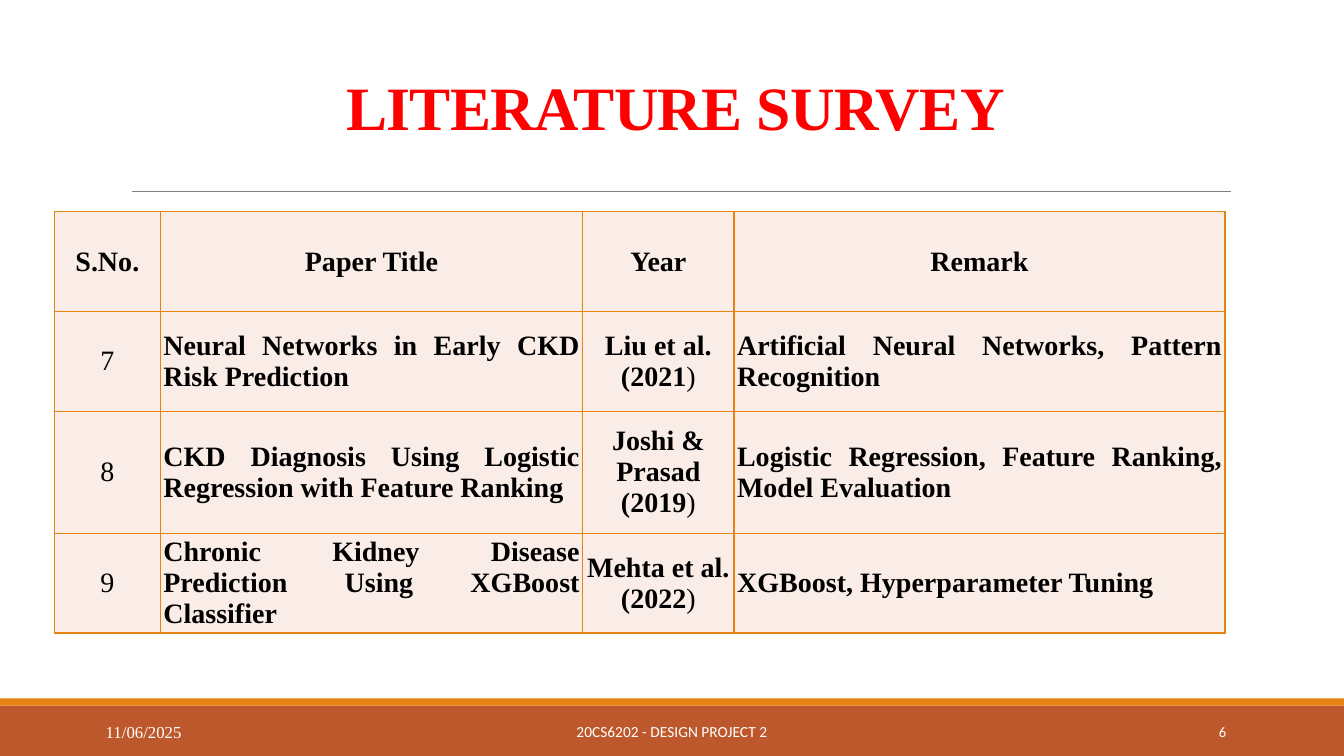
from pptx import Presentation
from pptx import util as u
from pptx.dml.color import RGBColor
from pptx.enum import shapes, text
from pptx.oxml import parse_xml
from pptx.oxml.ns import nsdecls

IN = u.Inches
CENTER, LEFT, RIGHT, JUST = (text.PP_ALIGN.CENTER, text.PP_ALIGN.LEFT,
                             text.PP_ALIGN.RIGHT, text.PP_ALIGN.JUSTIFY)
MIDDLE, TOP = text.MSO_ANCHOR.MIDDLE, text.MSO_ANCHOR.TOP


def color(code):
    return RGBColor.from_string(code)


class Deck:
    SERIF, SANS = "Times New Roman", "Calibri"
    RUST, AMBER, TINT, GRAY = "BD582C", "E48312", "FAEDE7", "808080"
    RED, BLACK, WHITE = "FF0000", "000000", "FFFFFF"

    def __init__(self):
        self.prs = Presentation()
        self.prs.slide_width, self.prs.slide_height = IN(13.33), IN(7.5)
        self.slide = self.prs.slides.add_slide(self.prs.slide_layouts[5])

    def put(self, para, words, align, size, face, tone, bold=False):
        para.alignment = align
        run = para.add_run()
        run.text = words
        form = {"size": u.Pt(size), "name": face, "bold": bold}
        for key, val in form.items():
            setattr(run.font, key, val)
        run.font.color.rgb = color(tone)
        return run

    def title(self, words, box):
        head = self.slide.shapes.title
        for key, val in zip(("left", "top", "width", "height"), box):
            setattr(head, key, IN(val))
        frame = head.text_frame
        frame.vertical_anchor = MIDDLE
        frame.auto_size = text.MSO_AUTO_SIZE.NONE
        para = frame.paragraphs[0]
        para.line_spacing = 0.85
        run = self.put(para, words, CENTER, 44, self.SERIF, self.RED, True)
        run.font._element.set("spc", "-50")

    def band(self, box, tone):
        bar = self.slide.shapes.add_shape(
            shapes.MSO_SHAPE.RECTANGLE, *map(IN, box))
        bar.shadow.inherit = False
        bar.fill.solid()
        bar.fill.fore_color.rgb = color(tone)
        bar.line.fill.background()

    def rule(self, ends, tone, width):
        line = self.slide.shapes.add_connector(
            shapes.MSO_CONNECTOR.STRAIGHT, *map(IN, ends))
        line.line.color.rgb = color(tone)
        line.line.width = u.Pt(width)
        line._element.spPr.append(
            parse_xml(f"<a:effectLst {nsdecls('a')}/>"))

    def label(self, words, box, align, size, face, anchor=MIDDLE):
        frame = self.slide.shapes.add_textbox(*map(IN, box)).text_frame
        frame.word_wrap = True
        frame.vertical_anchor = anchor
        self.put(frame.paragraphs[0], words, align, size, face, self.WHITE)

    def cell(self, cell, runs, align):
        form = {"margin_left": IN(0.03), "margin_right": IN(0.03),
                "margin_top": IN(0.02), "margin_bottom": IN(0.02),
                "vertical_anchor": MIDDLE}
        for key, val in form.items():
            setattr(cell, key, val)
        # Borders go ahead of the fill
        props = cell._tc.get_or_add_tcPr()
        for side in "LRTB":
            props.append(parse_xml(
                f'<a:ln{side} {nsdecls("a")} w="12700"><a:solidFill>'
                f'<a:srgbClr val="{self.AMBER}"/></a:solidFill></a:ln{side}>'))
        cell.fill.solid()
        cell.fill.fore_color.rgb = color(self.TINT)
        for words, bold in runs:
            self.put(cell.text_frame.paragraphs[0], words, align, 20,
                     self.SERIF, self.BLACK, bold)

    def table(self, rows, spot, wides, highs):
        grid = self.slide.shapes.add_table(
            len(rows), len(wides), *map(IN, spot),
            IN(sum(wides)), IN(sum(highs))).table
        for col, wide in zip(grid.columns, wides):
            col.width = IN(wide)
        for row, high in zip(grid.rows, highs):
            row.height = IN(high)
        for i, row in enumerate(rows):
            for j, words in enumerate(row):
                runs = [(words, i == 0 or j > 0)]
                if words.endswith(")"):
                    runs = [(words[:-1], True), (")", False)]
                align = JUST if i and j in (1, 3) else CENTER
                self.cell(grid.cell(i, j), runs, align)


def main():
    deck = Deck()

    # Footer bands and title rule
    deck.band((0, 7, 13.33, 0.5), deck.RUST)
    deck.band((0, 6.93, 13.33, 0.07), deck.AMBER)
    deck.rule((1.31, 1.9, 12.21, 1.9), deck.GRAY, 0.5)

    # Title
    deck.title("LITERATURE SURVEY", (1.2, 0.31, 11, 1.59))

    # Survey table
    papers = [
        ("S.No.", "Paper Title", "Year", "Remark"),
        ("7", "Neural Networks in Early CKD Risk Prediction",
         "Liu et al. (2021)",
         "Artificial Neural Networks, Pattern Recognition"),
        ("8", "CKD Diagnosis Using Logistic Regression with Feature Ranking",
         "Joshi & Prasad (2019)",
         "Logistic Regression, Feature Ranking, Model Evaluation"),
        ("9", "Chronic Kidney Disease Prediction Using XGBoost Classifier",
         "Mehta et al. (2022)", "XGBoost, Hyperparameter Tuning"),
    ]
    deck.table(papers, (0.54, 2.1), (1.05, 4.19, 1.5, 4.87),
               (0.99, 0.99, 1.21, 0.99))

    # Footer text
    deck.label("20CS6202 - DESIGN PROJECT 2", (4.03, 7.06, 5.27, 0.4),
               CENTER, 11, deck.SANS)
    deck.label("6", (10.83, 7.06, 1.43, 0.4), RIGHT, 10.5, deck.SANS)
    deck.label("11/06/2025", (0.95, 7.11, 2.59, 0.3), LEFT, 12,
               deck.SERIF, TOP)

    deck.prs.save("out.pptx")


if __name__ == "__main__":
    main()
